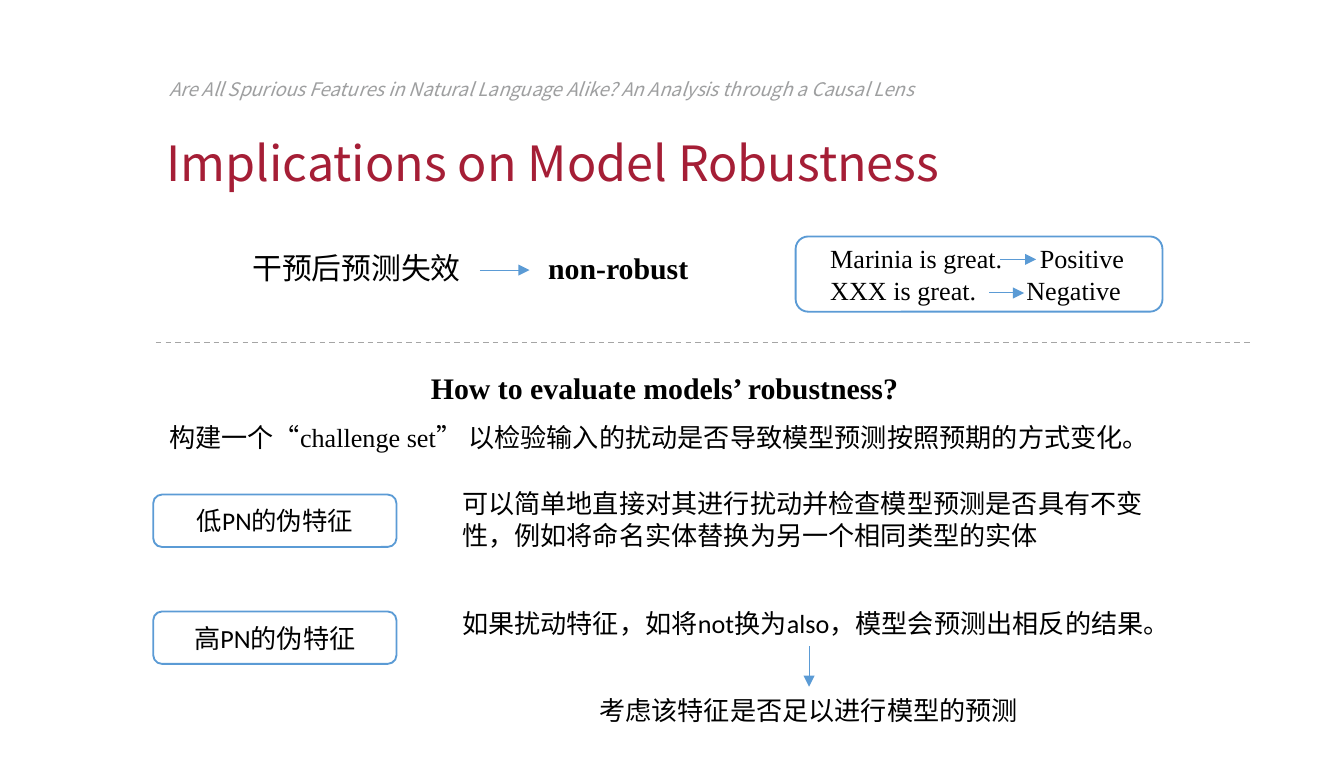
import pptx
import pptx.dml.color
import pptx.enum.dml
import pptx.enum.shapes
import pptx.enum.text
import pptx.oxml.ns
import pptx.util
from pptx.util import Inches
import lxml.etree

SERIF = "Times New Roman"
SANS = "Calibri"
CJK = "Noto Sans CJK SC"
BLUE = "5B9BD5"
CENTER = pptx.enum.text.PP_ALIGN.CENTER
LEFT = pptx.enum.text.PP_ALIGN.LEFT


def color(hex_value):
    """Turn a hex string into a colour."""
    return pptx.dml.color.RGBColor.from_string(hex_value)


def add_element(parent, tag, **attributes):
    """Append a drawing element to a parent and return it."""
    name = pptx.oxml.ns.qn(tag)
    return lxml.etree.SubElement(parent, name, attributes)


def style_run(run, size, font=SANS, ink="000000", bold=False, italic=False):
    """Format one run, with the Chinese font beside the Latin one."""
    run.font.size = pptx.util.Pt(size)
    run.font.name = font
    run.font.bold = bold
    run.font.italic = italic
    run.font.color.rgb = color(ink)
    add_element(run.font._element, "a:ea", typeface=CJK)


def add_tab_stop(paragraph, position):
    """Set a left tab stop measured from the start of the text."""
    tabs = add_element(paragraph._p.get_or_add_pPr(), "a:tabLst")
    add_element(tabs, "a:tab", pos=str(Inches(position)), algn="l")


def add_text(slide, text, left, top, width, height, size, spacing=None, **style):
    """Add a wrapping text box with one style and return it."""
    box = slide.shapes.add_textbox(
        Inches(left), Inches(top), Inches(width), Inches(height))
    frame = box.text_frame
    frame.word_wrap = True
    frame.text = text
    for paragraph in frame.paragraphs:
        if spacing:
            paragraph.line_spacing = spacing
        for run in paragraph.runs:
            style_run(run, size, **style)
    return box


def add_panel(slide, text, left, top, width, height, size, font=SANS, align=CENTER):
    """Add a white rounded box with a blue outline and return it."""
    panel = slide.shapes.add_shape(
        pptx.enum.shapes.MSO_SHAPE.ROUNDED_RECTANGLE,
        Inches(left), Inches(top), Inches(width), Inches(height))
    panel.shadow.inherit = False
    panel.fill.solid()
    panel.fill.fore_color.rgb = color("FFFFFF")
    panel.line.color.rgb = color(BLUE)
    panel.line.width = pptx.util.Pt(1)
    frame = panel.text_frame
    frame.vertical_anchor = pptx.enum.text.MSO_ANCHOR.MIDDLE
    frame.text = text
    for paragraph in frame.paragraphs:
        paragraph.alignment = align
        for run in paragraph.runs:
            style_run(run, size, font)
    return panel


def add_line(slide, x1, y1, x2, y2, ink, weight):
    """Add a straight line without a shadow and return it."""
    line = slide.shapes.add_connector(
        pptx.enum.shapes.MSO_CONNECTOR.STRAIGHT,
        Inches(x1), Inches(y1), Inches(x2), Inches(y2))
    line.line.color.rgb = color(ink)
    line.line.width = pptx.util.Pt(weight)
    add_element(line._element.spPr, "a:effectLst")
    return line


def add_arrow(slide, x1, y1, x2, y2):
    """Add a thin blue arrow."""
    arrow = add_line(slide, x1, y1, x2, y2, BLUE, 0.5)
    add_element(arrow.line._get_or_add_ln(), "a:tailEnd", type="triangle")


def add_header(slide):
    """Add the paper title and the slide title."""
    add_text(slide, "Are All Spurious Features in Natural Language Alike? "
             "An Analysis through a Causal Lens", 1.16, 0.56, 6.12, 0.24, 10,
             spacing=pptx.util.Pt(10), font=CJK, ink="9E9FA0", italic=True)
    add_text(slide, "Implications on Model Robustness", 1.14, 1.01, 7.71, 0.48, 26,
             spacing=pptx.util.Pt(26), font=CJK, ink="A51E36")


def add_intervention(slide):
    """Add the failed prediction and its two example sentences."""
    claim = add_text(slide, "干预后预测失效\tnon-robust", 1.78, 1.81, 3.5, 0.37, 16,
                     font=SERIF).text_frame.paragraphs[0]
    add_tab_stop(claim, 2.2)
    claim.text = "干预后预测失效\t"
    result = claim.add_run()
    result.text = "non-robust"
    for run in claim.runs:
        style_run(run, 16, SERIF, bold=run.text == result.text)
    examples = add_panel(slide, "Marinia is great.\tPositive\nXXX is great.\tNegative",
                         5.92, 1.76, 2.73, 0.56, 14, SERIF, LEFT).text_frame
    examples.margin_left = Inches(0.23)
    for paragraph, position in zip(examples.paragraphs, (1.56, 1.46)):
        add_tab_stop(paragraph, position)
    for start, end, y in ((3.57, 3.94, 2.01), (7.44, 7.71, 1.93), (7.36, 7.62, 2.18)):
        add_arrow(slide, start, y, end, y)


def add_question(slide):
    """Add the question and the challenge set that answers it."""
    frame = add_text(slide, "How to evaluate models’ robustness?", 1.16, 2.57, 7.57,
                     0.82, 16, spacing=1.5, font=SERIF, bold=True).text_frame
    frame.word_wrap = False
    frame.paragraphs[0].alignment = CENTER
    answer = frame.add_paragraph()
    answer.alignment = LEFT
    answer.line_spacing = 1.5
    for text, font in (("构建一个", SANS), ("“challenge set” ", SERIF),
                       ("以检验输入的扰动是否导致模型预测按照预期的方式变化。", SANS)):
        run = answer.add_run()
        run.text = text
        style_run(run, 14, font)


def add_feature(slide, name, name_top, name_size, check, check_top, check_height):
    """Add a kind of spurious feature and the way to check it."""
    add_panel(slide, name, 1.14, name_top, 1.81, 0.39, name_size)
    add_text(slide, check, 3.34, check_top, 5.37, check_height, 14)


def main():
    """Build the slide and save it."""
    deck = pptx.Presentation()
    deck.slide_width = Inches(10)
    deck.slide_height = Inches(5.67)
    slide = deck.slides.add_slide(deck.slide_layouts[6])
    add_header(slide)
    add_intervention(slide)
    divider = add_line(slide, 1.16, 2.55, 9.31, 2.55, "A5A5A5", 0.75)
    divider.line.dash_style = pptx.enum.dml.MSO_LINE.DASH
    add_question(slide)
    add_feature(slide, "低PN的伪特征", 3.68, 13.6,
                "可以简单地直接对其进行扰动并检查模型预测是否具有不变性，"
                "例如将命名实体替换为另一个相同类型的实体", 3.58, 0.57)
    add_feature(slide, "高PN的伪特征", 4.55, 14,
                "如果扰动特征，如将not换为also，模型会预测出相反的结果。", 4.47, 0.34)
    add_arrow(slide, 6.02, 4.81, 6.02, 5.11)
    add_text(slide, "考虑该特征是否足以进行模型的预测", 4.36, 5.12, 3.51, 0.34, 14,
             font=SERIF)
    deck.save("out.pptx")


if __name__ == "__main__":
    main()
